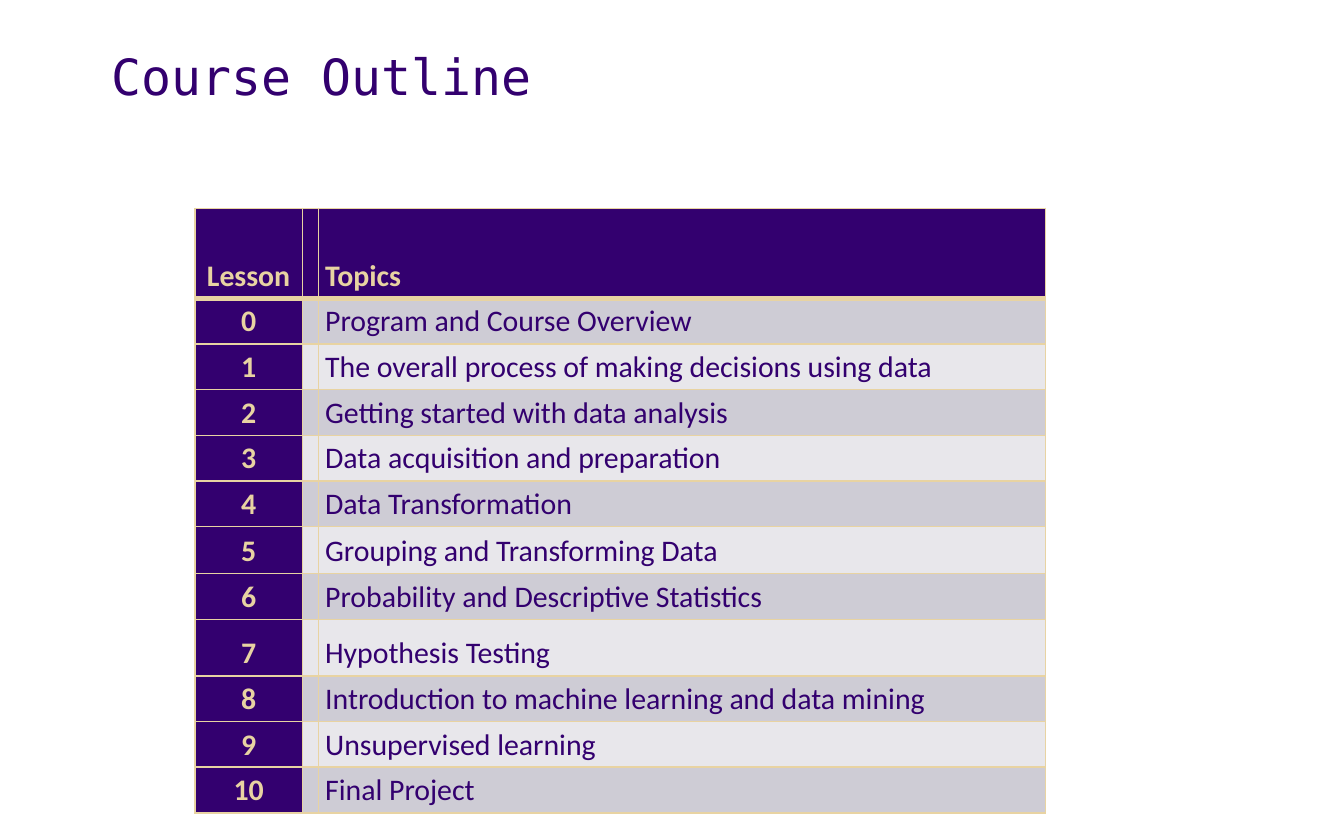
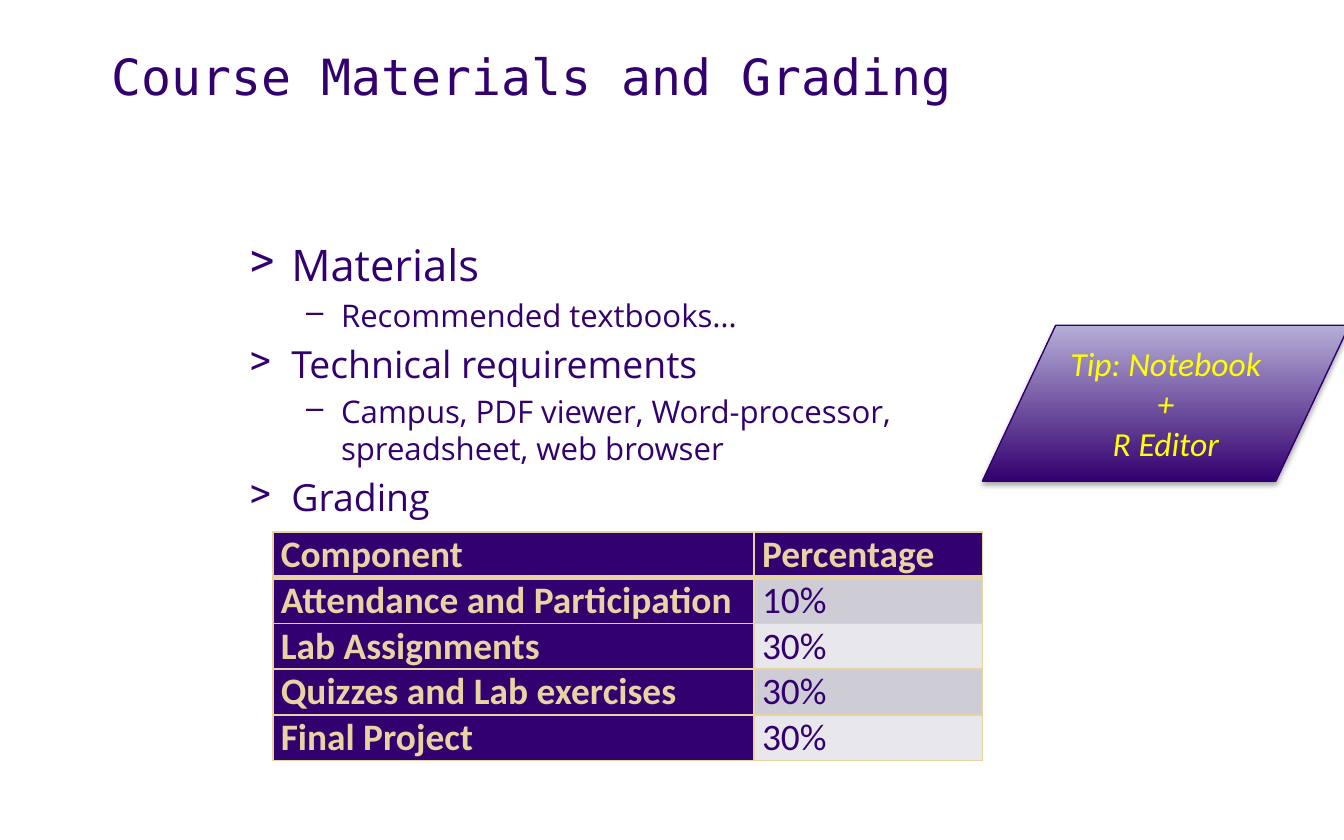
import pptx
import pptx.dml.color
import pptx.enum.shapes
import pptx.enum.text
import pptx.oxml
import pptx.oxml.ns
import pptx.util
from lxml import etree
from pptx.util import Inches

PURPLE = "33006F"
GOLD = "E8D3A2"
BANDS = ("CECCD5", "E8E7EB")
ALIGN = pptx.enum.text.PP_ALIGN
ANCHOR = pptx.enum.text.MSO_ANCHOR


def color(value):
    return pptx.dml.color.RGBColor.from_string(value)


def add_xml(parent, tag, **attributes):
    child = etree.SubElement(parent, pptx.oxml.ns.qn(tag))
    for name, value in attributes.items():
        child.set(name, str(value))
    return child


def set_font(paragraph, name, size, value, bold=False, italic=False):
    font = paragraph.font
    font.name, font.size = name, pptx.util.Pt(size)
    font.bold, font.italic = bold, italic
    font.color.rgb = color(value)


def add_textbox(page, box):
    frame = page.shapes.add_textbox(*map(Inches, box)).text_frame
    frame.word_wrap = True
    return frame


def add_title(page, text):
    paragraph = add_textbox(page, (0.73, 0.34, 8.95, 0.9)).paragraphs[0]
    paragraph.text = text
    paragraph.line_spacing = 0.9
    set_font(paragraph, "DejaVu Sans Mono", 26.7, PURPLE)


# Tables: gold rules, purple header and first column, banded body
def set_borders(cell, row):
    properties = cell._tc.get_or_add_tcPr()
    heavy_side = {0: "B", 1: "T"}.get(row)
    for index, side in enumerate("LRTB"):
        width = 3 if side == heavy_side else 1
        line = add_xml(properties, f"a:ln{side}", w=width * 12700)
        add_xml(add_xml(line, "a:solidFill"), "a:srgbClr", val=GOLD)
        properties.insert(index, line)


def add_banded_table(page, box, rows, widths, heights, size, margins, anchor, centered_first=False):
    frame = page.shapes.add_table(len(rows), len(widths), *map(Inches, box))
    table = frame.table
    for column, width in zip(table.columns, widths):
        column.width = Inches(width)
    for table_row, height in zip(table.rows, heights):
        table_row.height = Inches(height)
    for r, values in enumerate(rows):
        for c, value in enumerate(values):
            cell = table.cell(r, c)
            strong = r == 0 or c == 0
            cell.fill.solid()
            cell.fill.fore_color.rgb = color(PURPLE if strong else BANDS[(r - 1) % 2])
            set_borders(cell, r)
            side, edge = map(Inches, margins if value else (0, 0))
            cell.margin_left = cell.margin_right = side
            cell.margin_top = cell.margin_bottom = edge
            cell.vertical_anchor = anchor
            paragraph = cell.text_frame.paragraphs[0]
            paragraph.text = value
            if centered_first and c == 0:
                paragraph.alignment = ALIGN.CENTER
            set_font(paragraph, "Calibri", size, GOLD if strong else PURPLE, bold=strong)


# Two-level list with hanging bullets
def add_bullet_list(page, box, items):
    frame = add_textbox(page, box)
    for index, (level, size, text) in enumerate(items):
        paragraph = frame.add_paragraph() if index else frame.paragraphs[0]
        paragraph.text = text
        paragraph.level = level
        if index:
            paragraph.space_before = pptx.util.Pt(size * 0.2)
        margin, indent, bullet = ((0.31, -0.31, ">"), (0.68, -0.26, "–"))[level]
        properties = paragraph._p.get_or_add_pPr()
        properties.set("marL", str(Inches(margin)))
        properties.set("indent", str(Inches(indent)))
        add_xml(properties, "a:buChar", char=bullet)
        set_font(paragraph, "Open Sans", size, PURPLE)


# Slanted tip with gradient and soft shadow
def add_tip(page, box, lines):
    kind = pptx.enum.shapes.MSO_SHAPE.FLOWCHART_DATA
    tip = page.shapes.add_shape(kind, *map(Inches, box))
    tip.fill.gradient()
    tip.fill.gradient_angle = 90
    for stop, position, value in zip(tip.fill.gradient_stops, (0, 1), (PURPLE, "B5AED7")):
        stop.position = position
        stop.color.rgb = color(value)
    tip.line.color.rgb = color("32006D")
    tip.line.width = pptx.util.Pt(0.75)

    tip.shadow.inherit = False
    effects = tip._element.spPr.find(pptx.oxml.ns.qn("a:effectLst"))
    shadow = add_xml(effects, "a:outerShdw", blurRad=pptx.util.Pt(3.1),
                     dist=pptx.util.Pt(1.8), dir=90 * 60000, rotWithShape=0)
    add_xml(add_xml(shadow, "a:srgbClr", val="000000"), "a:alpha", val=35000)

    frame = tip.text_frame
    frame.word_wrap = True
    frame.vertical_anchor = ANCHOR.MIDDLE
    for index, text in enumerate(lines):
        paragraph = frame.add_paragraph() if index else frame.paragraphs[0]
        paragraph.text = text
        paragraph.alignment = ALIGN.CENTER
        set_font(paragraph, "Calibri", 18, "FFFF00", italic=True)


def build_outline(page):
    add_title(page, "Course Outline")
    topics = [
        "Program and Course Overview",
        "The overall process of making decisions using data",
        "Getting started with data analysis",
        "Data acquisition and preparation",
        "Data Transformation",
        "Grouping and Transforming Data",
        "Probability and Descriptive Statistics",
        "Hypothesis Testing",
        "Introduction to machine learning and data mining",
        "Unsupervised learning",
        "Final Project",
    ]
    rows = [("Lesson", "", "Topics")]
    rows += [(str(number), "", topic) for number, topic in enumerate(topics)]
    heights = [0.67] + [0.34] * len(topics)
    heights[6], heights[8] = 0.35, 0.42
    add_banded_table(page, (1.45, 1.55, 6.34, 4.51), rows, (0.8, 0.12, 5.41), heights,
                     16, (0.05, 0.03), ANCHOR.BOTTOM, centered_first=True)


def build_materials(page):
    add_title(page, "Course Materials and Grading")
    add_bullet_list(page, (1.76, 1.72, 5.76, 4.53), [
        (0, 23.3, "Materials"),
        (1, 16.7, "Recommended textbooks…"),
        (0, 20, "Technical requirements"),
        (1, 16.7, "Campus, PDF viewer, Word-processor, spreadsheet, web browser"),
        (0, 20, "Grading"),
    ])
    grading = [
        ("Component", "Percentage"),
        ("Attendance and Participation", "10%"),
        ("Lab Assignments", "30%"),
        ("Quizzes and Lab exercises", "30%"),
        ("Final Project", "30%"),
    ]
    add_banded_table(page, (2.03, 3.96, 5.28, 1.7), grading, (3.58, 1.7),
                     [0.34] * len(grading), 20, (0.06, 0), ANCHOR.TOP)
    add_tip(page, (7.31, 2.42, 2.73, 1.16), ["Tip: Notebook +", "R Editor"])


def main():
    deck = pptx.Presentation()
    deck.slide_width, deck.slide_height = Inches(10), Inches(6.25)
    for build in (build_outline, build_materials):
        build(deck.slides.add_slide(deck.slide_layouts[6]))
    deck.save("out.pptx")


if __name__ == "__main__":
    main()
